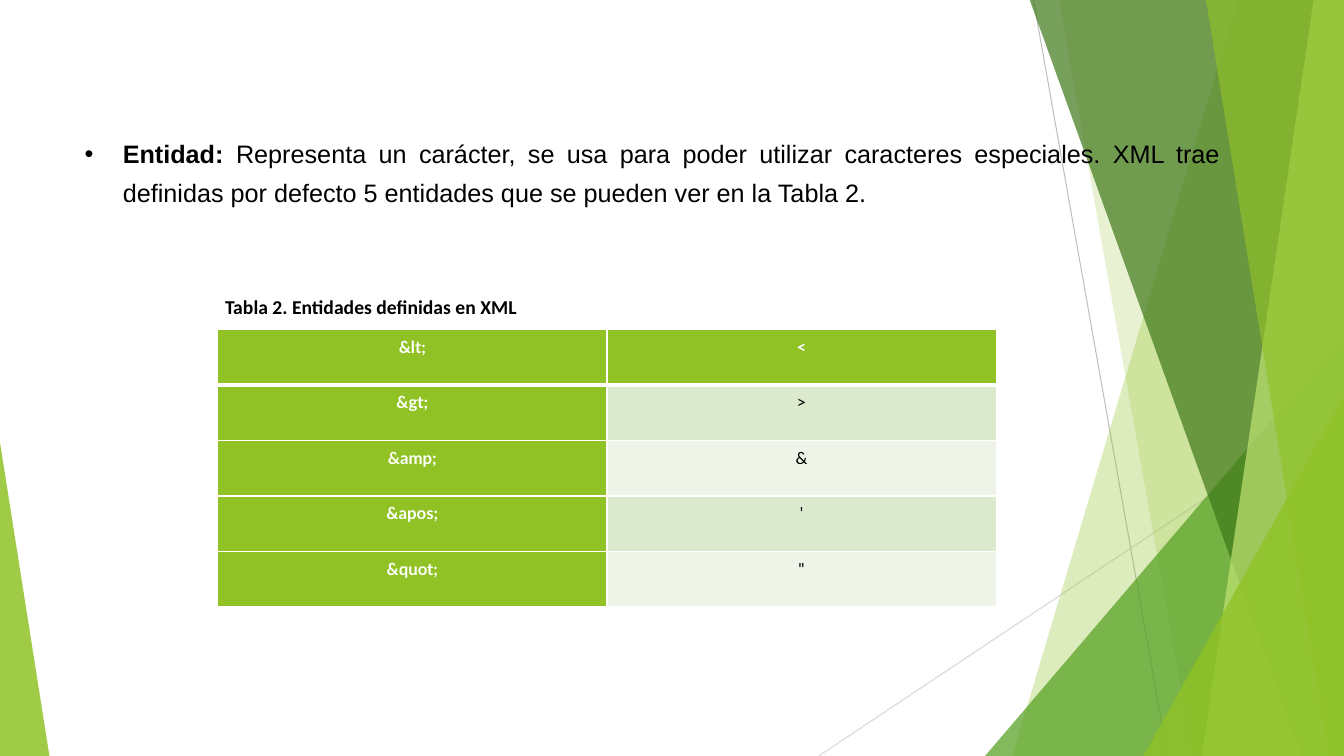
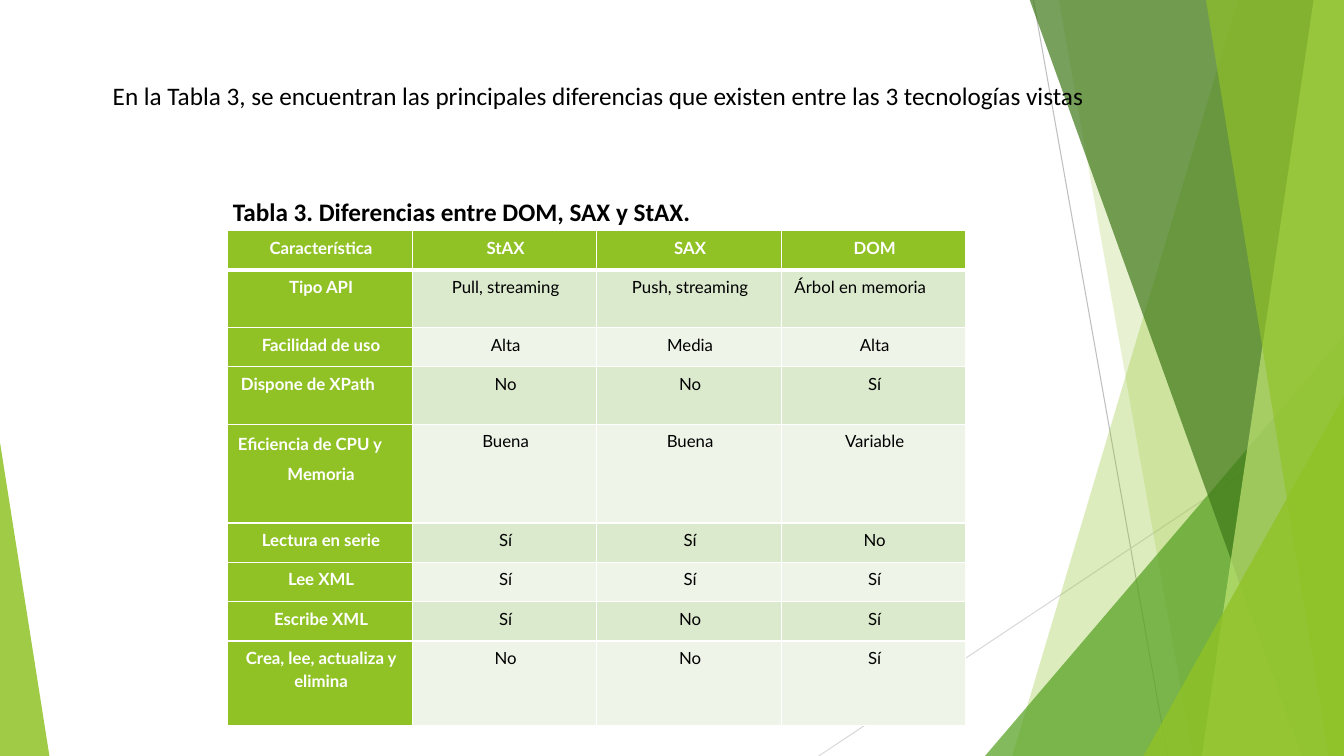
from dataclasses import dataclass

from lxml.etree import SubElement
from pptx import Presentation
from pptx.dml.color import RGBColor
from pptx.enum.shapes import MSO_CONNECTOR, MSO_SHAPE
from pptx.enum.text import MSO_AUTO_SIZE, PP_ALIGN
from pptx.oxml.ns import qn
from pptx.util import Inches, Pt


@dataclass(frozen=True)
class Theme:
    width: float = 13.33
    height: float = 7.5
    # Colours
    lime: str = "90C226"
    green: str = "54A021"
    forest: str = "3F7819"
    pale_lime: str = "C0E474"
    dark_grey: str = "BFBFBF"
    light_grey: str = "D9D9D9"
    white: str = "FFFFFF"
    black: str = "000000"
    row_tints: tuple = ("DBE9CD", "EEF4E8")
    # Fonts and sizes
    body_font: str = "Calibri"
    bullet_font: str = "Arial"
    table_font: str = "Lato"
    body_size: float = 18
    small_caption_size: float = 14
    table_size: float = 12
    # Table borders, in points
    border: float = 1
    header_border: float = 3


class Deck:
    def __init__(self, theme):
        self.theme = theme
        self.presentation = Presentation()
        self.presentation.slide_width = Inches(theme.width)
        self.presentation.slide_height = Inches(theme.height)
        self.slide = None

    def add_slide(self):
        layout = self.presentation.slide_layouts[6]
        self.slide = self.presentation.slides.add_slide(layout)
        self.add_backdrop()

    # Shared backdrop
    def add_backdrop(self):
        theme = self.theme
        right, bottom = theme.width, theme.height
        self.add_line(10.25, 0, 11.58, bottom, theme.dark_grey)
        self.add_line(right, 4.03, 8.12, bottom, theme.light_grey)
        self.add_band(12.28, 10.04, theme.lime, 30)
        self.add_band(10.5, 11.83, theme.lime, 20)
        self.add_triangle(9.77, 3.33, 3.56, 1, theme.green, 72)
        self.add_band(10.21, 12.91, theme.forest, 70)
        self.add_band(13.03, 11.92, theme.pale_lime, 70)
        self.add_band(11.96, 13.18, theme.lime, 65)
        self.add_triangle(11.34, 3.93, 1.99, 1, theme.lime, 80)
        self.add_triangle(0, 4.39, 0.49, 0, theme.lime, 85)

    def add_line(self, x1, y1, x2, y2, colour):
        connector = self.slide.shapes.add_connector(
            MSO_CONNECTOR.STRAIGHT, Inches(x1), Inches(y1), Inches(x2), Inches(y2))
        connector.line.color.rgb = RGBColor.from_string(colour)
        connector.line.width = Pt(0.75)
        SubElement(connector._element.spPr, qn("a:effectLst"))

    def add_band(self, top_x, bottom_x, colour, opacity):
        """Fill from a slanted left edge to the right edge of the slide."""
        right, top, bottom = self.theme.width, -0.01, self.theme.height
        builder = self.slide.shapes.build_freeform(Inches(top_x), Inches(top))
        corners = [(right, top), (right, bottom), (bottom_x, bottom)]
        builder.add_line_segments([(Inches(x), Inches(y)) for x, y in corners])
        self.paint(builder.convert_to_shape(), colour, opacity)

    def add_triangle(self, left, top, width, apex, colour, opacity):
        """Draw a triangle that stands on the bottom edge of the slide."""
        shape = self.slide.shapes.add_shape(
            MSO_SHAPE.ISOSCELES_TRIANGLE, Inches(left), Inches(top),
            Inches(width), Inches(self.theme.height - top))
        shape.adjustments[0] = apex
        self.paint(shape, colour, opacity)

    def paint(self, shape, colour, opacity):
        shape.shadow.inherit = False
        shape.fill.solid()
        shape.fill.fore_color.rgb = RGBColor.from_string(colour)
        shape.line.fill.background()
        colour_element = shape._element.spPr.find(".//" + qn("a:srgbClr"))
        SubElement(colour_element, qn("a:alpha"), val=str(opacity * 1000))

    # Text
    def format_runs(self, paragraph, font, size, colour, bold=False):
        for run in paragraph.runs:
            run.font.name = font
            run.font.size = Pt(size)
            run.font.bold = bold
            run.font.color.rgb = RGBColor.from_string(colour)

    def indent(self, paragraph, left, first_line):
        properties = paragraph._p.get_or_add_pPr()
        properties.set("marL", str(Inches(left)))
        properties.set("indent", str(Inches(first_line)))
        return properties

    def add_text(self, box, text, wrap=True):
        text_box = self.slide.shapes.add_textbox(*map(Inches, box))
        text_frame = text_box.text_frame
        text_frame.word_wrap = wrap
        text_frame.auto_size = MSO_AUTO_SIZE.SHAPE_TO_FIT_TEXT
        text_frame.text = text
        paragraph = text_frame.paragraphs[0]
        self.format_runs(paragraph, self.theme.body_font, self.theme.body_size,
                         self.theme.black)
        return paragraph

    def add_bullet(self, box, term, explanation):
        theme = self.theme
        paragraph = self.add_text(box, term)
        paragraph.add_run().text = explanation
        self.format_runs(paragraph, theme.bullet_font, theme.body_size, theme.black)
        paragraph.runs[0].font.bold = True
        paragraph.alignment = PP_ALIGN.JUSTIFY
        paragraph.line_spacing = 1.28
        paragraph.space_after = Pt(11.2)
        properties = self.indent(paragraph, 0.38, -0.38)
        bullet_colour = SubElement(properties, qn("a:buClr"))
        SubElement(bullet_colour, qn("a:srgbClr"), val=theme.black)
        SubElement(properties, qn("a:buFont"), typeface=theme.bullet_font)
        SubElement(properties, qn("a:buChar"), char="•")

    def add_caption(self, box, text, size):
        paragraph = self.add_text(box, text, wrap=False)
        self.format_runs(paragraph, self.theme.body_font, size, self.theme.black, True)
        paragraph.alignment = PP_ALIGN.CENTER
        paragraph.line_spacing = 1.15
        paragraph.space_after = Pt(0.3)

    # Tables
    def add_table(self, left, top, column_width, row_heights, rows, left_inset):
        column_count = len(rows[0])
        frame = self.slide.shapes.add_table(
            len(rows), column_count, Inches(left), Inches(top),
            Inches(column_width * column_count), Inches(sum(row_heights)))
        table = frame.table
        for column in table.columns:
            column.width = Inches(column_width)
        for row_index, texts in enumerate(rows):
            table.rows[row_index].height = Inches(row_heights[row_index])
            for column_index, text in enumerate(texts):
                cell = table.cell(row_index, column_index)
                self.fill_cell(cell, text, row_index, column_index, left_inset)
        return table

    def fill_cell(self, cell, text, row_index, column_index, left_inset):
        theme = self.theme
        heading = row_index == 0 or column_index == 0
        background = theme.lime if heading else theme.row_tints[(row_index - 1) % 2]
        cell.fill.solid()
        cell.fill.fore_color.rgb = RGBColor.from_string(background)
        cell.margin_left, cell.margin_right = Inches(left_inset), Inches(0.08)
        cell.margin_top, cell.margin_bottom = Inches(0.04), 0
        cell.text_frame.text = text
        for paragraph in cell.text_frame.paragraphs:
            paragraph.alignment = PP_ALIGN.CENTER
            paragraph.line_spacing = 1.15
            self.format_runs(paragraph, theme.table_font, theme.table_size,
                             theme.white if heading else theme.black, heading)
        self.add_borders(cell, row_index)

    def add_borders(self, cell, row_index):
        theme = self.theme
        widths = {"a:lnL": theme.border, "a:lnR": theme.border,
                  "a:lnT": theme.header_border if row_index == 1 else theme.border,
                  "a:lnB": theme.header_border if row_index == 0 else theme.border}
        properties = cell._tc.get_or_add_tcPr()
        for position, (tag, width) in enumerate(widths.items()):
            line = SubElement(properties, qn(tag), w=str(Pt(width)))
            fill = SubElement(line, qn("a:solidFill"))
            SubElement(fill, qn("a:srgbClr"), val=theme.white)
            properties.insert(position, line)

    def align_left(self, paragraph, left):
        paragraph.alignment = PP_ALIGN.LEFT
        self.indent(paragraph, left, -0.01)


ENTITIES = [
    ("&lt;", "<"),
    ("&gt;", ">"),
    ("&amp;", "&"),
    ("&apos;", "'"),
    ("&quot;", '"'),
]

DIFFERENCES = [
    ("Característica", "StAX", "SAX", "DOM"),
    ("Tipo API", "Pull, streaming", "Push, streaming", "Árbol en memoria"),
    ("Facilidad de uso", "Alta", "Media", "Alta"),
    ("Dispone de XPath", "No", "No", "Sí"),
    ("Eficiencia de CPU y\nMemoria", "Buena", "Buena", "Variable"),
    ("Lectura en serie", "Sí", "Sí", "No"),
    ("Lee XML", "Sí", "Sí", "Sí"),
    ("Escribe XML", "Sí", "No", "Sí"),
    ("Crea, lee, actualiza y elimina", "No", "No", "Sí"),
]


def build_entities_slide(deck):
    deck.add_slide()
    deck.add_bullet(
        (0.74, 1.24, 11.46, 0.88), "Entidad: ",
        "Representa un carácter, se usa para poder utilizar caracteres especiales. "
        "XML trae definidas por defecto 5 entidades que se pueden ver en la Tabla 2.")
    deck.add_table(2.16, 3.27, 3.86, [0.55] * len(ENTITIES), ENTITIES, 0.08)
    deck.add_caption((2.1, 2.84, 3.16, 0.36), "Tabla 2. Entidades definidas en XML",
                     deck.theme.small_caption_size)


def build_differences_slide(deck):
    deck.add_slide()
    deck.add_text(
        (1.02, 0.75, 11.16, 0.4),
        "En la Tabla 3, se encuentran las principales diferencias que existen "
        "entre las 3 tecnologías vistas")
    row_heights = [0.39, 0.57, 0.39, 0.57, 0.98, 0.39, 0.39, 0.39, 0.84]
    table = deck.add_table(2.26, 2.29, 1.83, row_heights, DIFFERENCES, 0.1)
    # Cells set to the left
    for row_index, column_index, left in [(1, 3, 0.04), (3, 0, 0.04), (4, 0, 0)]:
        cell = table.cell(row_index, column_index)
        deck.align_left(cell.text_frame.paragraphs[0], left)
    efficiency = table.cell(4, 0).text_frame.paragraphs[0]
    efficiency.line_spacing = 1.28
    efficiency.space_after = Pt(4.8)
    deck.add_caption((2.16, 1.85, 4.84, 0.45),
                     "Tabla 3. Diferencias entre DOM, SAX y StAX.",
                     deck.theme.body_size)


def main():
    deck = Deck(Theme())
    build_entities_slide(deck)
    build_differences_slide(deck)
    deck.presentation.save("out.pptx")


if __name__ == "__main__":
    main()
